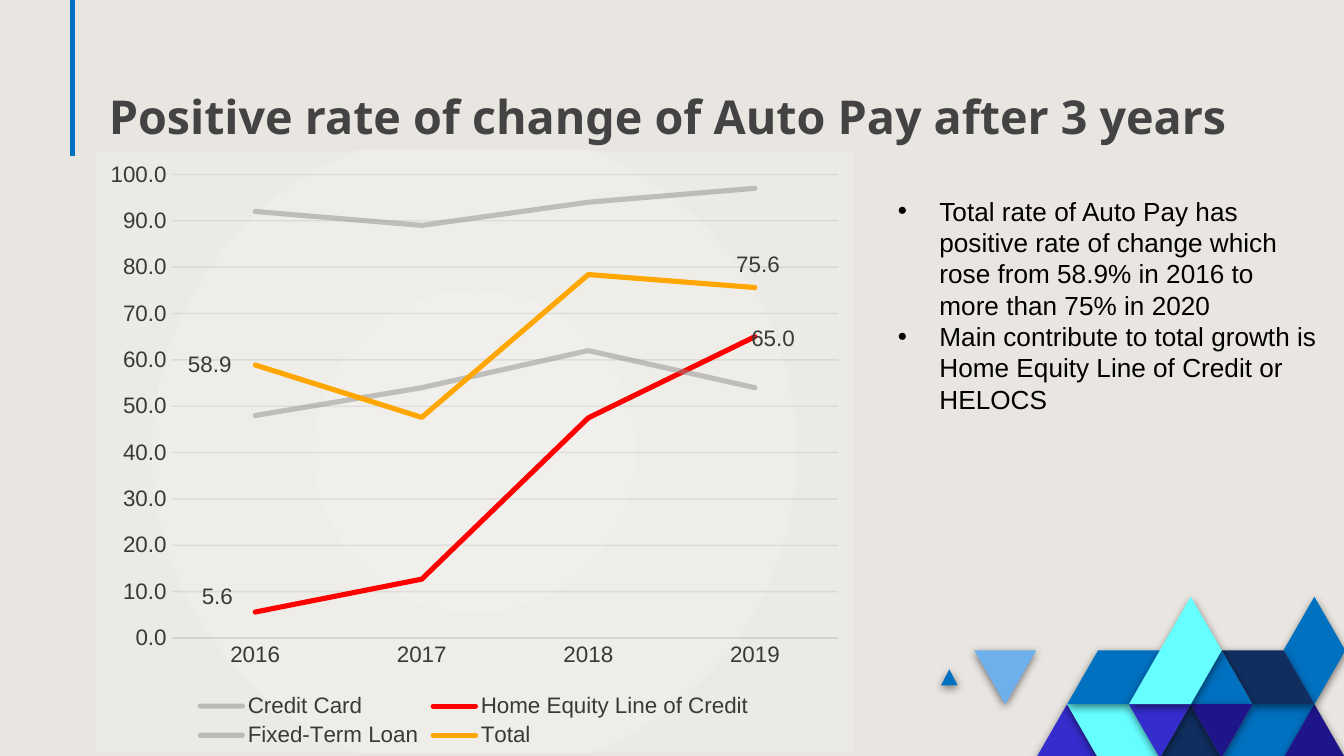
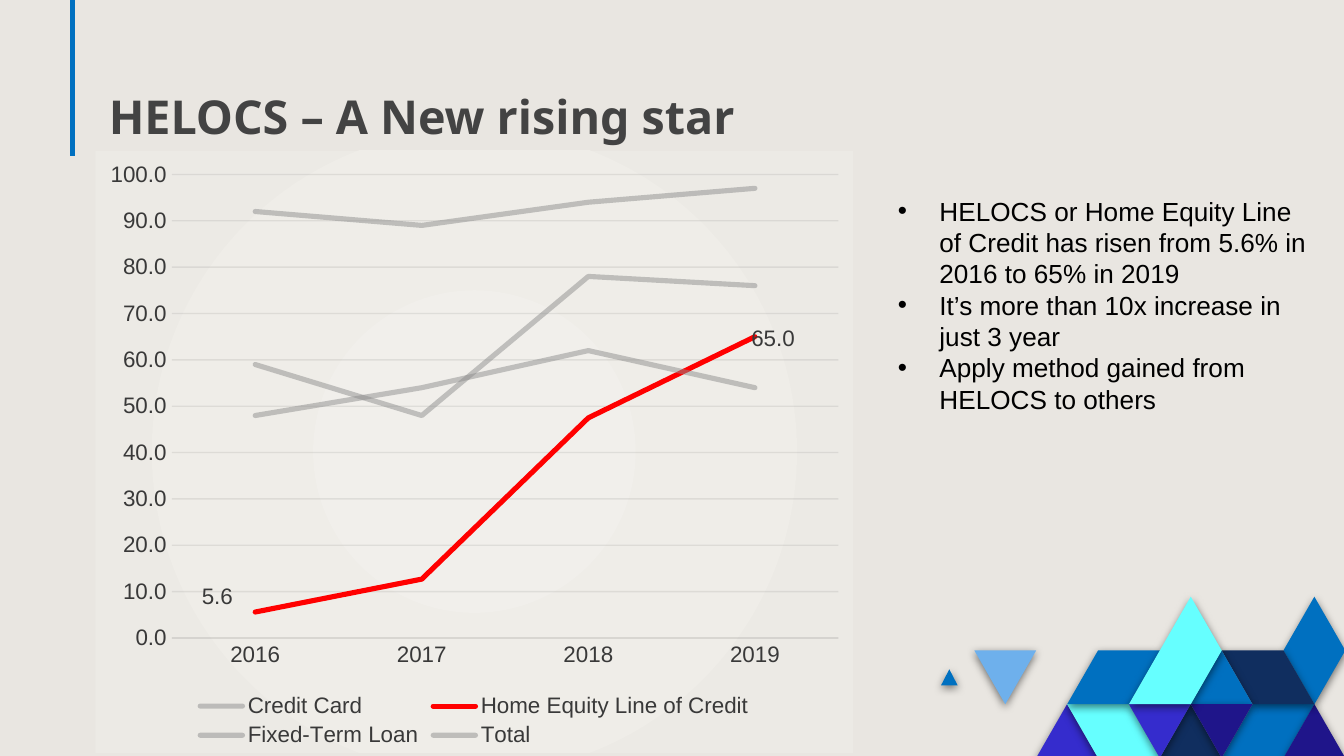
import lxml.etree
import pptx
import pptx.chart.data
import pptx.dml.color
import pptx.enum.chart
import pptx.enum.shapes
import pptx.enum.text
import pptx.oxml
import pptx.oxml.ns
import pptx.util

COLORS = {
    "paper": "E9E6E1", "title": "434343", "text": "000000", "label": "393939",
    "axis": "404040", "muted": "8E8E8E", "red": "FF0000", "orange": "FFA600",
    "blue": "0070C0", "sky": "6EB0EC", "cyan": "66FFFF", "violet": "352CCD",
    "indigo": "1F158A", "navy": "102E5F", "glow": "F1EFEB", "edge": "ECEAE5",
}
TITLE_FONT, TEXT_FONT = "Noto Sans", "Arial"
CELL = 0.1  # inches per column or row of the page grid
COLUMNS, ROWS = 100, 56.25

# Triangle lattice in the corner: origin and steps in inches
LATTICE_LEFT, LATTICE_TOP = 7.25, 4.44
LATTICE_STEP, LATTICE_RISE = 0.23, 0.4
MOSAIC = [  # colour, corners as (column, row) of the lattice
    ("violet", [(2, 3), (3, 2), (4, 3)]),
    ("cyan", [(3, 2), (5, 2), (6, 3), (4, 3)]),
    ("blue", [(8, 3), (9, 2), (11, 2), (10, 3)]),
    ("indigo", [(10, 3), (11, 2), (12, 3)]),
    ("navy", [(6, 3), (7, 2), (8, 3)]),
    ("blue", [(3, 2), (4, 1), (6, 1), (5, 2)]),
    ("blue", [(-1.08, 1.65), (-0.81, 1.35), (-0.54, 1.65)]),
    ("sky", [(0, 1), (2, 1), (1, 2)]),
    ("blue", [(10, 1), (11, 0), (12, 1), (11, 2)]),
    ("navy", [(8, 1), (10, 1), (11, 2), (9, 2)]),
    ("blue", [(7, 2), (8, 1), (9, 2)]),
    ("indigo", [(7, 2), (9, 2), (8, 3)]),
    ("violet", [(5, 2), (7, 2), (6, 3)]),
    ("cyan", [(5, 2), (7, 0), (8, 1), (7, 2)]),
]

YEARS = ["2016", "2017", "2018", "2019"]
HELOC, TOTAL = "Home Equity Line of Credit", "Total"
RATES = {
    "Credit Card": [92, 89, 94, 97],
    HELOC: [5.6, 12.7, 47.5, 65],
    "Fixed-Term Loan": [48, 54, 62, 54],
    TOTAL: [58.9, 47.6, 78.4, 75.6],
}
# Label shifts from the point, in percent of the chart: {point: (x, y)}
LABEL_SHIFTS = {
    HELOC: {0: (-5, -2.5), 3: (2.4, 0.4)},
    TOTAL: {0: (-6, 0), 3: (0.4, -3.7)},
}
PAGES = [  # title, list items, rows of the list, highlighted series
    ("Positive rate of change of Auto Pay after 3 years",
     ["Total rate of Auto Pay has positive rate of change which rose "
      "from 58.9% in 2016 to more than 75% in 2020",
      "Main contribute to total growth is Home Equity Line of Credit or HELOCS"],
     22.2, {HELOC: "red", TOTAL: "orange"}),
    ("HELOCS – A New rising star",
     ["HELOCS or Home Equity Line of Credit has risen from 5.6% in 2016 to 65% in 2019",
      "It’s more than 10x increase in just 3 year",
      "Apply method gained from HELOCS to others"],
     19.9, {HELOC: "red"}),
]


# Helpers
def color(name):
    return pptx.dml.color.RGBColor.from_string(COLORS[name])


def cells(*counts):
    return [pptx.util.Inches(count * CELL) for count in counts]


def xml(markup):
    return pptx.oxml.parse_xml(markup.replace(">", f" {pptx.oxml.ns.nsdecls('a', 'c')}>", 1))


def format_font(font, size, ink, face=TEXT_FONT, bold=False):
    font.size, font.name, font.bold = pptx.util.Pt(size), face, bold
    font.color.rgb = color(ink)


def format_line(line, ink, width):
    line.color.rgb = color(ink)
    line.width = pptx.util.Pt(width)


def fade_lines(chart, ink, percent):
    for tint in chart.element.xpath(f'.//a:ln//a:srgbClr[@val="{COLORS[ink]}"]'):
        tint.append(xml(f'<a:alpha val="{percent * 1000}"></a:alpha>'))


def add_text(paragraph, text, **style):
    span = paragraph.add_run()
    span.text = text
    format_font(span.font, **style)


def place(box, left, top, width, height):
    box.left, box.top, box.width, box.height = cells(left, top, width, height)


# Shared background
def draw_tile(page, ink, corners):
    points = [(pptx.util.Inches(LATTICE_LEFT + column * LATTICE_STEP),
               pptx.util.Inches(LATTICE_TOP + row * LATTICE_RISE))
              for column, row in corners]
    builder = page.shapes.build_freeform(*points[0])
    builder.add_line_segments(points[1:], close=True)
    tile = builder.convert_to_shape()
    tile.fill.solid()
    tile.fill.fore_color.rgb = color(ink)
    tile.line.fill.background()
    tile.shadow.inherit = False
    tile.element.xpath("./p:spPr/a:effectLst")[0].append(xml(
        '<a:outerShdw blurRad="57150" dist="19050" dir="5400000" rotWithShape="0">'
        '<a:srgbClr val="000000"><a:alpha val="50000"/></a:srgbClr></a:outerShdw>'))
    return tile


def draw_title_bar(page):
    bar = page.shapes.add_connector(
        pptx.enum.shapes.MSO_CONNECTOR.STRAIGHT, *cells(5.4, 0, 5.4, 11.6))
    format_line(bar.line, "blue", 2.25)
    bar.element.xpath("./p:spPr")[0].append(xml("<a:effectLst></a:effectLst>"))
    return bar


def decorate(layout, page):
    """Draw the shared shapes and hand them over to the layout."""
    shapes = [draw_title_bar(page)] + [draw_tile(page, *tile) for tile in MOSAIC]
    for number, shape in enumerate(shapes, start=100):
        shape.element.xpath("./*/p:cNvPr")[0].set("id", str(number))
        layout.shapes.element.append(shape.element)


# Page content
def set_title(page, text):
    title = page.shapes.title
    place(title, 7.1, 5.4, 88.5, 6.3)
    frame = title.text_frame
    frame.word_wrap = True
    frame.auto_size = pptx.enum.text.MSO_AUTO_SIZE.NONE
    frame.vertical_anchor = pptx.enum.text.MSO_ANCHOR.BOTTOM
    frame.margin_left = frame.margin_right = frame.margin_top = frame.margin_bottom = cells(1)[0]
    para = frame.paragraphs[0]
    para.alignment = pptx.enum.text.PP_ALIGN.LEFT
    add_text(para, text, size=25, ink="title", face=TITLE_FONT, bold=True)


def set_bullets(page, items, rows):
    body = page.placeholders[1]
    place(body, 65.8, 14, 33.4, rows)
    frame = body.text_frame
    frame.word_wrap = True
    frame.auto_size = pptx.enum.text.MSO_AUTO_SIZE.NONE
    indent = pptx.util.Inches(0.31)
    for index, item in enumerate(items):
        para = frame.add_paragraph() if index else frame.paragraphs[0]
        para.space_before = pptx.util.Pt(0)
        add_text(para, item, size=14, ink="text")
        properties = para._p.get_or_add_pPr()
        properties.set("marL", str(indent))
        properties.set("indent", str(-indent))
        properties.append(xml(f'<a:buClr><a:srgbClr val="{COLORS["text"]}"/></a:buClr>'))
        properties.append(xml('<a:buFont typeface="Arial"></a:buFont>'))
        properties.append(xml('<a:buChar char="•"></a:buChar>'))


def label_points(series, shifts):
    labels = series.data_labels
    labels.show_value = False
    for leader in labels._element.xpath("./c:showLeaderLines"):
        leader.set("val", "0")
    for index, (right, down) in shifts.items():
        label = series.points[index].data_label
        format_font(label.font, 12, "label")
        label.position = pptx.enum.chart.XL_LABEL_POSITION.CENTER
        mark = labels._element.xpath(f'./c:dLbl/c:idx[@val="{index}"]')[0]
        mark.addnext(xml(f'<c:layout><c:manualLayout><c:x val="{right / 100}"/>'
                         f'<c:y val="{down / 100}"/></c:manualLayout></c:layout>'))


def format_axes(chart):
    values, years = chart.value_axis, chart.category_axis
    for axis in (values, years):
        axis.major_tick_mark = axis.minor_tick_mark = pptx.enum.chart.XL_TICK_MARK.NONE
        format_font(axis.tick_labels.font, 12, "label")
    format_line(years.format.line, "axis", 0.75)
    values.minimum_scale, values.maximum_scale, values.major_unit = 0, 100, 10
    values.tick_labels.number_format = "0.0"
    values.tick_labels.number_format_is_linked = False
    values.format.line.fill.background()
    format_line(values.major_gridlines.format.line, "axis", 0.75)
    fade_lines(chart, "axis", 10)


def fill_chart(chart):
    stops = "".join(f'<a:gs pos="{position}"><a:srgbClr val="{COLORS[name]}"/></a:gs>'
                    for position, name in ((0, "glow"), (100000, "edge")))
    chart.element.xpath("./c:chart")[0].addnext(xml(
        f'<c:spPr><a:gradFill><a:gsLst>{stops}</a:gsLst><a:path path="circle">'
        '<a:fillToRect l="50000" t="50000" r="50000" b="50000"/></a:path>'
        '</a:gradFill><a:ln><a:noFill/></a:ln></c:spPr>'))


def add_rate_chart(page, highlights):
    data = pptx.chart.data.CategoryChartData(number_format="0.0")
    data.categories = YEARS
    for name, rates in RATES.items():
        # Series without labels are given in whole percents
        data.add_series(name, rates if name in highlights else [round(rate) for rate in rates])
    chart = page.shapes.add_chart(pptx.enum.chart.XL_CHART_TYPE.LINE,
                                  *cells(7.1, 11.2, 56.4, 44.8), data).chart
    format_font(chart.font, 10, "paper")
    chart.has_title = False
    chart.has_legend = True
    chart.legend.position = pptx.enum.chart.XL_LEGEND_POSITION.BOTTOM
    chart.legend.include_in_layout = False
    format_font(chart.legend.font, 12, "label")
    chart.plots[0].vary_by_categories = False
    for series in chart.plots[0].series:
        series.smooth = False
        format_line(series.format.line, highlights.get(series.name, "muted"), 2.75)
        if series.name in highlights:
            label_points(series, LABEL_SHIFTS[series.name])
    for stroke in chart.element.xpath(".//c:ser/c:spPr/a:ln"):
        stroke.set("cap", "rnd")
    fade_lines(chart, "muted", 50)
    format_axes(chart)
    fill_chart(chart)


def main():
    deck = pptx.Presentation()
    deck.slide_width, deck.slide_height = cells(COLUMNS, ROWS)
    background = deck.slide_master.background.fill
    background.solid()
    background.fore_color.rgb = color("paper")
    layout = deck.slide_layouts[1]
    for number, (title, items, rows, highlights) in enumerate(PAGES):
        page = deck.slides.add_slide(layout)
        if number == 0:
            decorate(layout, page)
        set_title(page, title)
        add_rate_chart(page, highlights)
        set_bullets(page, items, rows)
    deck.save("out.pptx")


if __name__ == "__main__":
    main()
